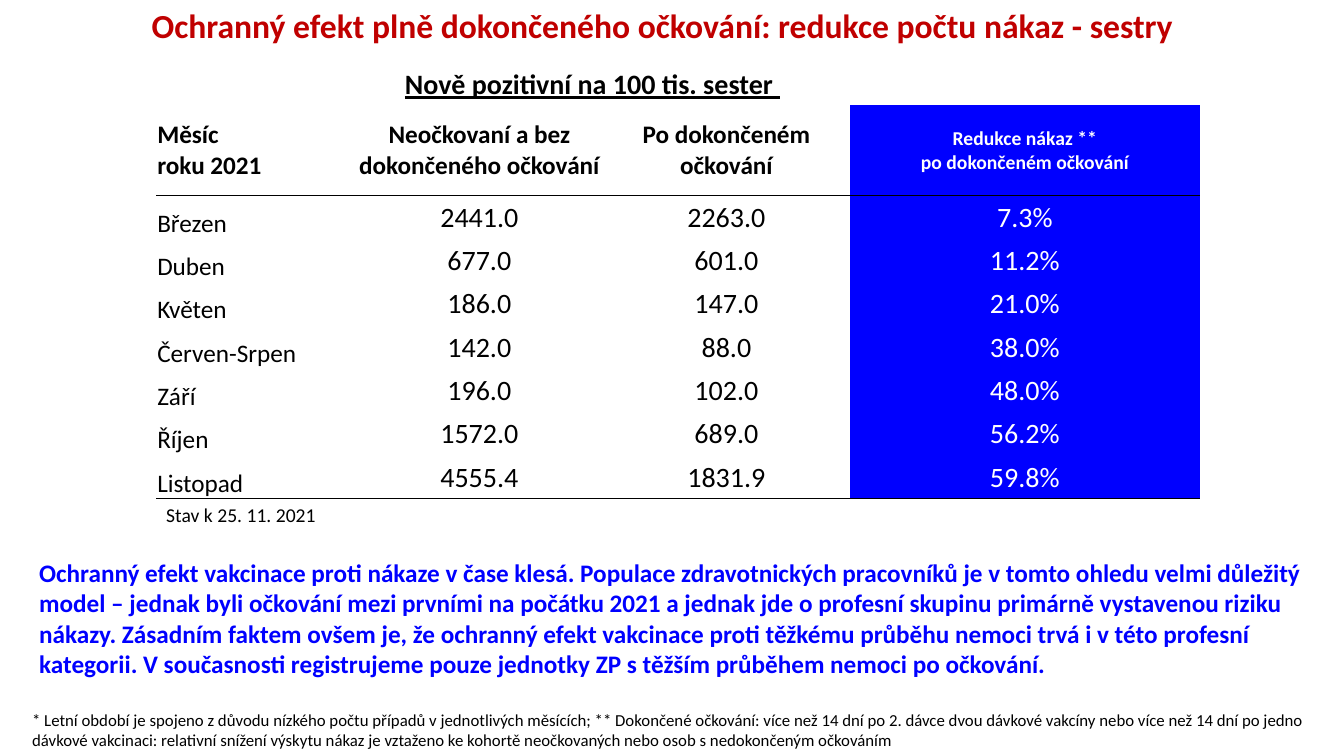
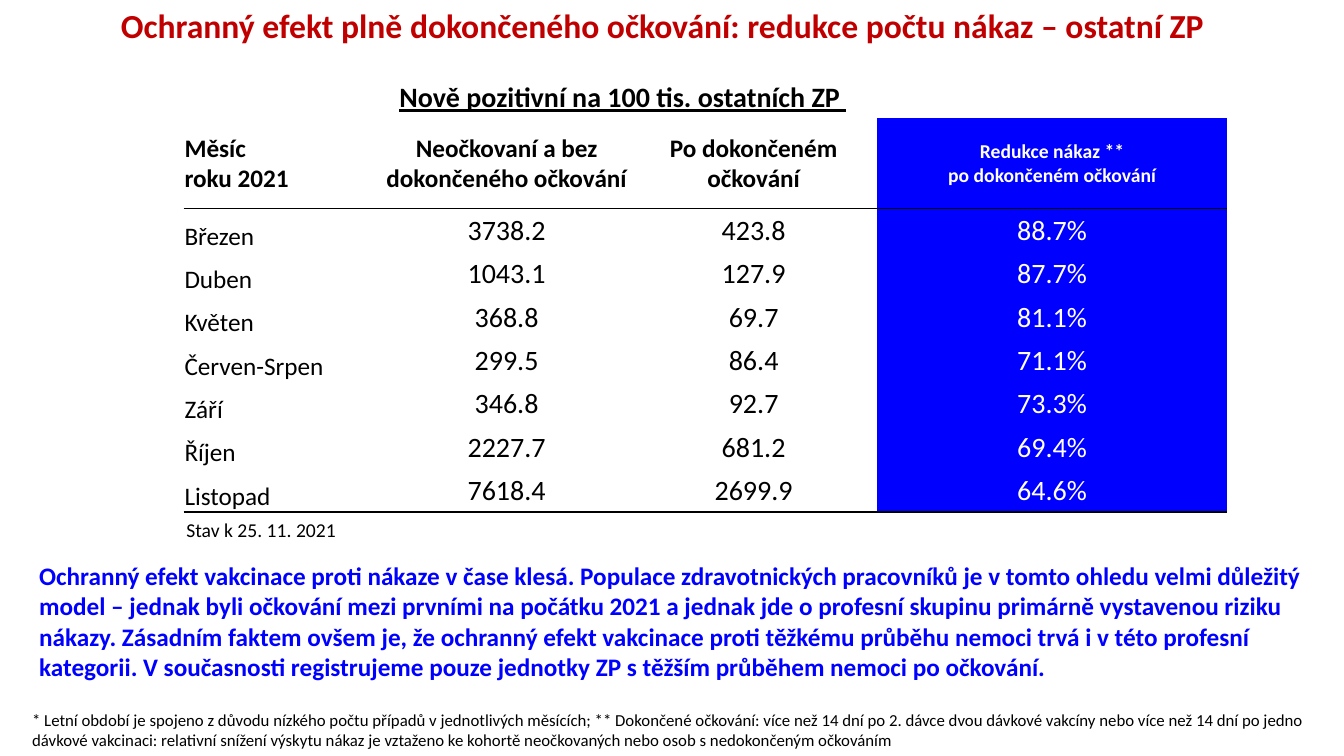
from lxml import etree
from pptx import Presentation
from pptx.dml.color import RGBColor
from pptx.enum.text import MSO_ANCHOR, PP_ALIGN
from pptx.oxml.ns import qn
from pptx.util import Inches, Pt

LEFT, CENTER = PP_ALIGN.LEFT, PP_ALIGN.CENTER
MIDDLE, BOTTOM = MSO_ANCHOR.MIDDLE, MSO_ANCHOR.BOTTOM

FONT = "Calibri"
RED, BLUE, BLACK, WHITE = "C00000", "0000FF", "000000", "FFFFFF"
PLAIN = "{2D5ABB26-0587-4C30-8999-92F81FD0307C}"  # table style without grid

WIDTHS = [1.98, 2.45, 2.45, 3.47]
ROW, HEAD = 0.43, 0.9
HEADS = ["Měsíc\nroku 2021", "Neočkovaní a bez dokončeného očkování",
         "Po dokončeném\nočkování", "Redukce nákaz **\npo dokončeném očkování"]
MONTHS = ["Březen", "Duben", "Květen", "Červen-Srpen", "Září", "Říjen", "Listopad"]

TITLE = "Ochranný efekt plně dokončeného očkování: redukce počtu nákaz "
STATUS = "Stav k 25. 11. 2021"
CLAIM = (
    "Ochranný efekt vakcinace proti nákaze v čase klesá. Populace zdravotnických "
    "pracovníků je v tomto ohledu velmi důležitý model – jednak byli očkování mezi "
    "prvními na počátku 2021 a jednak jde o profesní skupinu primárně vystavenou "
    "riziku nákazy. Zásadním faktem ovšem je, že ochranný efekt vakcinace proti "
    "těžkému průběhu nemoci trvá i v této profesní kategorii. V současnosti "
    "registrujeme pouze jednotky ZP s těžším průběhem nemoci po očkování.")
NOTE = (
    "* Letní období je spojeno z důvodu nízkého počtu případů v jednotlivých měsících; "
    "** Dokončené očkování: více než 14 dní po 2. dávce dvou dávkové vakcíny nebo více "
    "než 14 dní po jedno dávkové vakcinaci: relativní snížení výskytu nákaz je vztaženo "
    "ke kohortě neočkovaných nebo osob s nedokončeným očkováním")

NURSES = [("2441.0", "2263.0", "7.3%"), ("677.0", "601.0", "11.2%"),
          ("186.0", "147.0", "21.0%"), ("142.0", "88.0", "38.0%"),
          ("196.0", "102.0", "48.0%"), ("1572.0", "689.0", "56.2%"),
          ("4555.4", "1831.9", "59.8%")]
OTHERS = [("3738.2", "423.8", "88.7%"), ("1043.1", "127.9", "87.7%"),
          ("368.8", "69.7", "81.1%"), ("299.5", "86.4", "71.1%"),
          ("346.8", "92.7", "73.3%"), ("2227.7", "681.2", "69.4%"),
          ("7618.4", "2699.9", "64.6%")]


def color(code):
    return RGBColor.from_string(code)


def write(frame, text, size, tint=BLACK, bold=False, align=LEFT, under=False):
    """Fill a text frame, one paragraph for each line."""
    for i, line in enumerate(text.split("\n")):
        par = frame.add_paragraph() if i else frame.paragraphs[0]
        par.text = line
        par.alignment = align
        font = par.font
        font.name, font.size, font.bold = FONT, Pt(size), bold
        font.color.rgb = color(tint)
        if under:
            font.underline = True


def rule(cell):
    """Draw a thin black line below a cell."""
    line = etree.SubElement(cell._tc.get_or_add_tcPr(), qn("a:lnB"), w=str(Pt(1)))
    fill = etree.SubElement(line, qn("a:solidFill"))
    etree.SubElement(fill, qn("a:srgbClr"), val=BLACK)


class Deck:
    def __init__(self):
        self.prs = Presentation()
        self.prs.slide_width, self.prs.slide_height = Inches(13.33), Inches(7.5)
        self.slide = None

    def text(self, spot, text, size, **style):
        box = self.slide.shapes.add_textbox(*map(Inches, spot))
        box.text_frame.word_wrap = True
        write(box.text_frame, text, size, **style)
        return box.text_frame

    def cell(self, cell, text, size, last, **style):
        """Write a body or head cell; the last column is white on blue."""
        cell.margin_left = cell.margin_right = cell.margin_top = Inches(0.01)
        cell.margin_bottom = 0
        write(cell.text_frame, text, size, tint=WHITE if last else BLACK, **style)
        if last:
            cell.fill.solid()
            cell.fill.fore_color.rgb = color(BLUE)
        else:
            cell.fill.background()

    def table(self, left, top, data):
        rows = [HEADS] + [(m, *vals) for m, vals in zip(MONTHS, data)]
        high = [ROW, HEAD] + [ROW] * len(data)
        spot = left, top, sum(WIDTHS), sum(high)
        table = self.slide.shapes.add_table(
            len(high), len(WIDTHS), *map(Inches, spot)).table
        table.first_row = table.horz_banding = False
        table._tbl.tblPr.find(qn("a:tableStyleId")).text = PLAIN
        for col, wide in zip(table.columns, WIDTHS):
            col.width = Inches(wide)
        for row, tall in zip(table.rows, high):
            row.height = Inches(tall)
        for c in range(len(WIDTHS)):
            table.cell(0, c).fill.background()
        table.cell(0, 2).merge(table.cell(0, 3))
        for r, row in enumerate(rows, 1):
            head = r == 1
            for c, text in enumerate(row):
                cell, last = table.cell(r, c), c == len(WIDTHS) - 1
                if r in (1, len(rows)):
                    rule(cell)
                if head:
                    size = 14 if last else 18
                else:
                    size = 20 if c else 18
                cell.vertical_anchor = MIDDLE if head or c else BOTTOM
                self.cell(cell, text, size, last, bold=head,
                          align=CENTER if c else LEFT)

    def page(self, group, label, span, corner, status, claim, data):
        """Add a slide; span is the label's left and width, claim its top."""
        self.slide = self.prs.slides.add_slide(self.prs.slide_layouts[6])
        left, top = corner
        title = self.text((0.22, 0.04, 12.7, 1.45), TITLE + group, 24,
                          tint=RED, bold=True, align=CENTER)
        title.paragraphs[0].line_spacing = 0.9
        self.text((span[0], top, span[1], 0.44),
                  f"Nově pozitivní na 100 tis. {label} ", 20,
                  bold=True, align=CENTER, under=True)
        self.text((0.22, 6.99, 12.99, 0.5), NOTE, 12)
        self.table(left, top, data)
        self.text((*status, 2.21, 0.34), STATUS, 14)
        self.text((0.29, claim, 12.87, 1.31), CLAIM, 18, tint=BLUE, bold=True)


def main():
    deck = Deck()
    deck.page("- sestry", "sester", (3.66, 4.43), (1.55, 0.61),
              (1.55, 4.94), 5.48, NURSES)
    deck.page("– ostatní ZP", "ostatních ZP", (3.81, 4.74), (1.82, 0.74),
              (1.75, 5.09), 5.51, OTHERS)
    deck.prs.save("out.pptx")


if __name__ == "__main__":
    main()
